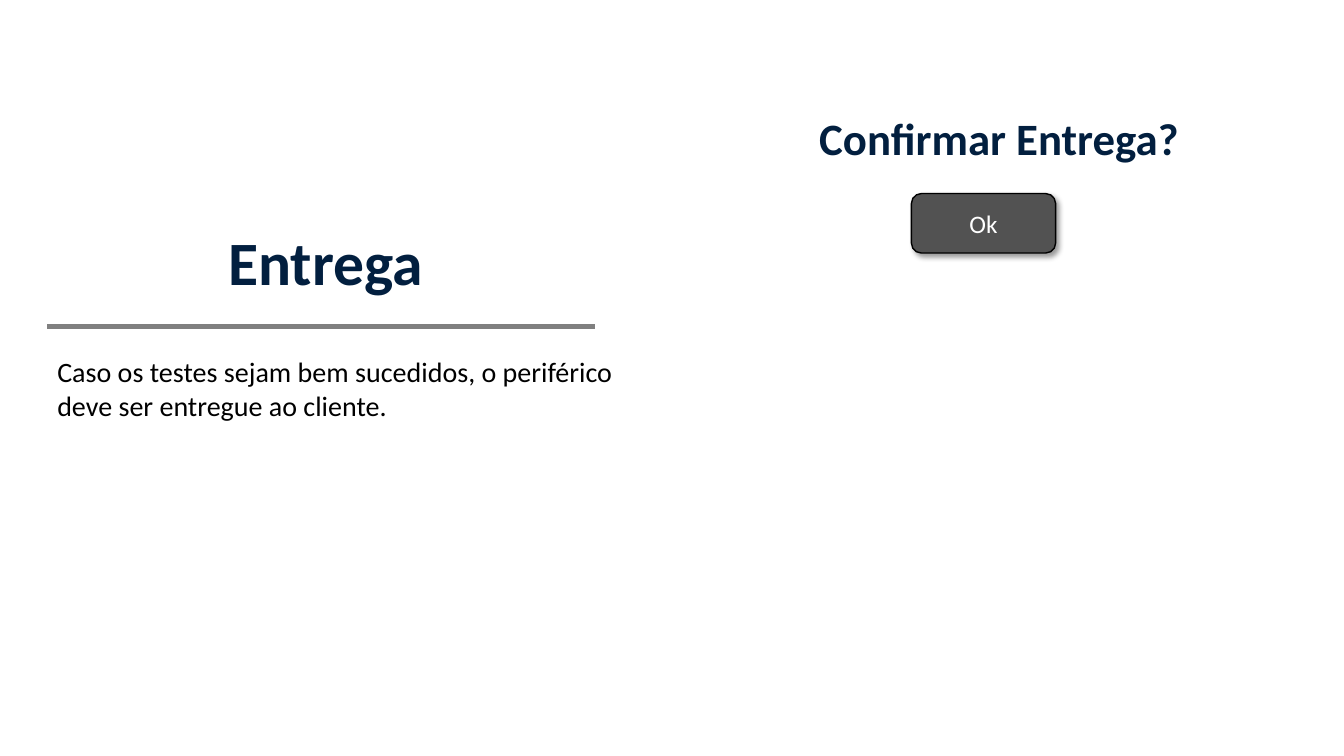
from dataclasses import dataclass

from lxml import etree
from pptx import Presentation
from pptx.dml.color import RGBColor
from pptx.enum.shapes import MSO_CONNECTOR, MSO_SHAPE
from pptx.enum.text import MSO_ANCHOR as Anchor, MSO_AUTO_SIZE as AutoSize, PP_ALIGN as Align
from pptx.oxml import parse_xml
from pptx.oxml.ns import nsdecls, qn
from pptx.util import Inches, Pt


@dataclass(frozen=True)
class Theme:
    font: str = "Calibri"
    navy: str = "021F3F"
    black: str = "000000"
    white: str = "FFFFFF"
    rule: str = "808080"
    button: str = "525252"
    title_size: int = 44
    question_size: int = 32
    body_size: int = 20
    button_size: int = 18


class SlideBuilder:
    def __init__(self, slide, theme):
        self.s = slide
        self.theme = theme

    def set_text(self, shape, text, size, color, bold=False, align=Align.LEFT, anchor=Anchor.TOP):
        tf = shape.text_frame
        tf.text = text
        tf.word_wrap = True
        tf.auto_size = AutoSize.NONE
        tf.vertical_anchor = anchor
        p = tf.paragraphs[0]
        p.alignment = align
        for r in p.runs:
            r.font.name = self.theme.font
            r.font.size = Pt(size)
            r.font.bold = bold
            r.font.color.rgb = RGBColor.from_string(color)

    def title(self, text, left, top, width, height):
        sp = self.s.shapes.title
        sp.left, sp.top = Inches(left), Inches(top)
        sp.width, sp.height = Inches(width), Inches(height)
        self.set_text(sp, text, self.theme.title_size, self.theme.navy, True, Align.CENTER)

    def text(self, text, left, top, width, height, size, color, **style):
        sp = self.s.shapes.add_textbox(Inches(left), Inches(top), Inches(width), Inches(height))
        self.set_text(sp, text, size, color, **style)

    def rule(self, left, right, y):
        line = self.s.shapes.add_connector(
            MSO_CONNECTOR.STRAIGHT, Inches(left), Inches(y), Inches(right), Inches(y))
        line.line.color.rgb = RGBColor.from_string(self.theme.rule)
        line.line.width = Pt(3)
        etree.SubElement(line._element.spPr, qn("a:effectLst"))

    def button(self, text, left, top, width, height):
        sp = self.s.shapes.add_shape(
            MSO_SHAPE.ROUNDED_RECTANGLE, Inches(left), Inches(top), Inches(width), Inches(height))
        sp.fill.solid()
        sp.fill.fore_color.rgb = RGBColor.from_string(self.theme.button)
        sp.line.color.rgb = RGBColor.from_string(self.theme.black)
        sp.line.width = Pt(1)
        self.drop_shadow(sp, blur=4, distance=3, angle=45, opacity=40)
        self.set_text(sp, text, self.theme.button_size, self.theme.white,
                      align=Align.CENTER, anchor=Anchor.MIDDLE)

    def drop_shadow(self, sp, blur, distance, angle, opacity):
        """Blur and distance in points, angle in degrees, opacity in percent."""
        sp.shadow.inherit = False
        effects = sp._element.spPr.find(qn("a:effectLst"))
        effects.append(parse_xml(
            f'<a:outerShdw {nsdecls("a")} blurRad="{Pt(blur)}" dist="{Pt(distance)}" '
            f'dir="{angle * 60000}" algn="tl" rotWithShape="0">'
            f'<a:srgbClr val="{self.theme.black}"><a:alpha val="{opacity * 1000}"/></a:srgbClr>'
            '</a:outerShdw>'))


def main():
    prs = Presentation()
    prs.slide_width, prs.slide_height = Inches(13.33), Inches(7.5)
    theme = Theme()
    title_only = prs.slide_layouts[5]
    slide = SlideBuilder(prs.slides.add_slide(title_only), theme)

    left, column = 0.47, 5.76
    slide.title("Entrega", 0.35, 2.17, column, 0.84)
    slide.rule(left, 5.9, 3.24)
    slide.text("Caso os testes sejam bem sucedidos, o periférico deve ser entregue ao cliente.",
               left, 3.47, column, 0.77, theme.body_size, theme.black)
    slide.text("Confirmar Entrega?", 7.03, 1.05, column, 0.64,
               theme.question_size, theme.navy, bold=True, align=Align.CENTER)
    slide.button("Ok", 9.04, 1.92, 1.43, 0.59)
    prs.save("out.pptx")


if __name__ == "__main__":
    main()
